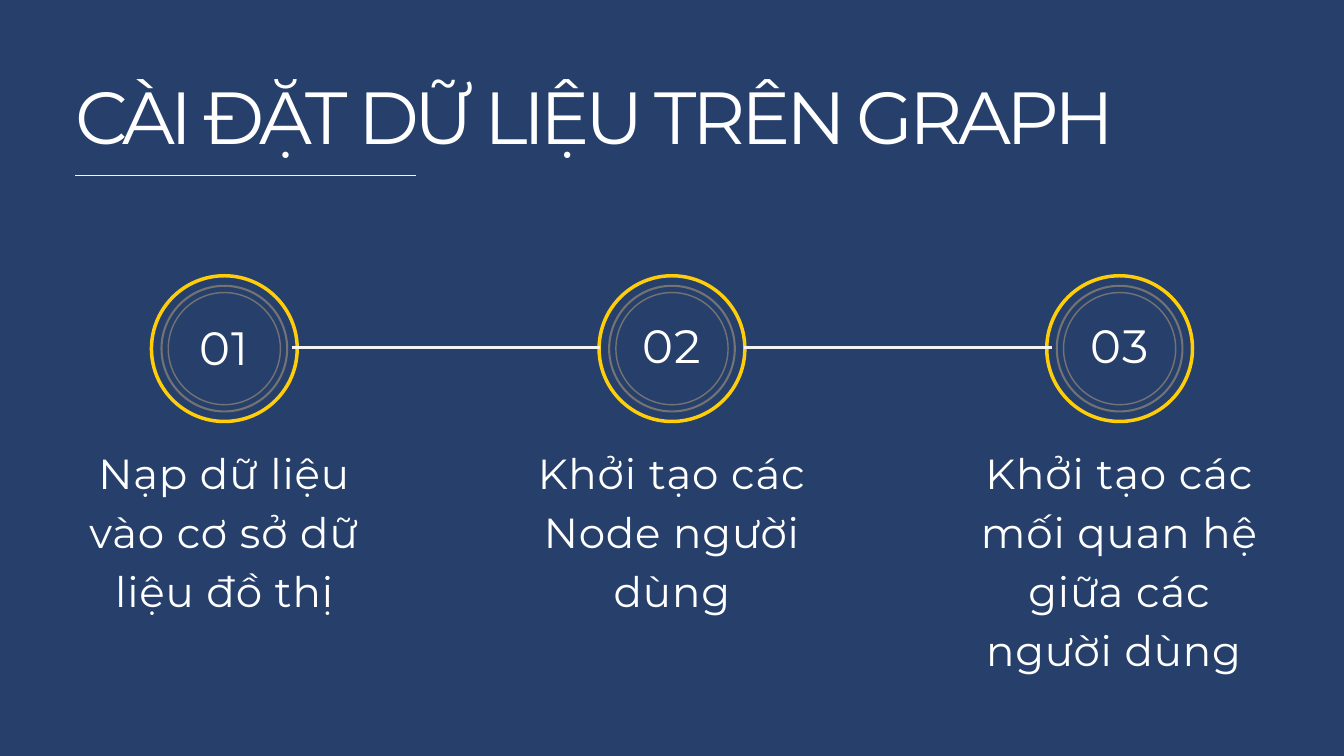
from dataclasses import dataclass

from lxml import etree
from pptx import Presentation
from pptx.dml.color import RGBColor
from pptx.enum.shapes import MSO_CONNECTOR as LINE, MSO_SHAPE as SHAPE
from pptx.enum.text import MSO_ANCHOR as ANCHOR, MSO_AUTO_SIZE as FIT, PP_ALIGN as ALIGN
from pptx.oxml.ns import qn
from pptx.util import Cm, Pt


@dataclass(frozen=True)
class Theme:
    font: str = "Montserrat"
    navy: RGBColor = RGBColor(0x26, 0x3F, 0x6B)
    white: RGBColor = RGBColor(0xFF, 0xFF, 0xFF)
    rule: RGBColor = RGBColor(0xF4, 0xF4, 0xF4)
    grey: RGBColor = RGBColor(0x73, 0x73, 0x73)
    yellow: RGBColor = RGBColor(0xFF, 0xCE, 0x08)
    title: int = 79
    number: int = 50
    body: int = 45


THEME = Theme()


def write(s, text, size, leading, tracking, align):
    """Fill a shape with one paragraph; leading and tracking are in points."""
    tf = s.text_frame
    tf.margin_left = tf.margin_top = tf.margin_right = tf.margin_bottom = 0
    tf.word_wrap = True
    tf.auto_size = FIT.NONE
    tf.vertical_anchor = ANCHOR.TOP
    tf.text = text
    p = tf.paragraphs[0]
    p.alignment = align
    p.line_spacing = Pt(leading)
    p.space_before = Pt(0)
    r = p.runs[0]
    r.font.name = THEME.font
    r.font.size = Pt(size)
    r.font.color.rgb = THEME.white
    r.font._element.set("spc", str(round(tracking * 100)))


def add_rule(shapes, x1, x2, y, width):
    """Draw a horizontal line without a shadow; positions are in cm."""
    c = shapes.add_connector(LINE.STRAIGHT, Cm(x1), Cm(y), Cm(x2), Cm(y))
    c.line.color.rgb = THEME.rule
    c.line.width = Pt(width)
    etree.SubElement(c._element.spPr, qn("a:effectLst"))


prs = Presentation()
prs.slide_width, prs.slide_height = Cm(50.8), Cm(28.58)
slide = prs.slides.add_slide(prs.slide_layouts[5])
slide.background.fill.solid()
slide.background.fill.fore_color.rgb = THEME.navy

# Title and its underline
title = slide.shapes.title
title.left, title.top, title.width, title.height = Cm(2.84), Cm(3.25), Cm(41.78), Cm(2.95)
write(title, "CÀI ĐẶT DỮ LIỆU TRÊN GRAPH", THEME.title, 79, -4.7, ALIGN.LEFT)
add_rule(slide.shapes, 2.84, 15.72, 6.63, 1.5)

# Three numbered steps: label, number top, caption, caption height
steps = [
    ("01", 12.4, "Nạp dữ liệu vào cơ sở dữ liệu đồ thị", 6.55),
    ("02", 12.32, "Khởi tạo các Node người dùng", 6.55),
    ("03", 12.32, "Khởi tạo các mối quan hệ giữa các người dùng ", 8.79),
]
# Diameter, colour and line width of each ring, inside out
rings = [(4.24, THEME.grey, 1.5), (4.75, THEME.grey, 2.25), (5.51, THEME.yellow, 3.75)]
first_x, pitch, ring_y = 8.48, 16.92, 13.18
caption_w, number_w = 11.22, 3.86

for i, (label, number_top, caption, caption_h) in enumerate(steps):
    x = first_x + i * pitch
    badge = slide.shapes.add_group_shape()
    for d, color, width in rings:
        ring = badge.shapes.add_shape(
            SHAPE.OVAL, Cm(x - d / 2), Cm(ring_y - d / 2), Cm(d), Cm(d))
        ring.shadow.inherit = False
        ring.fill.background()
        ring.line.color.rgb = color
        ring.line.width = Pt(width)
    number = badge.shapes.add_textbox(
        Cm(x - number_w / 2), Cm(number_top), Cm(number_w), Cm(1.91))
    write(number, label, THEME.number, 50, 1, ALIGN.CENTER)
    box = slide.shapes.add_textbox(
        Cm(x - caption_w / 2), Cm(16.61), Cm(caption_w), Cm(caption_h))
    write(box, caption, THEME.body, 63, 0.9, ALIGN.CENTER)

# Links between the badges
for x1, x2 in [(11.02, 22.66), (28.14, 39.78)]:
    add_rule(slide.shapes, x1, x2, 13.13, 3)

prs.save("out.pptx")
